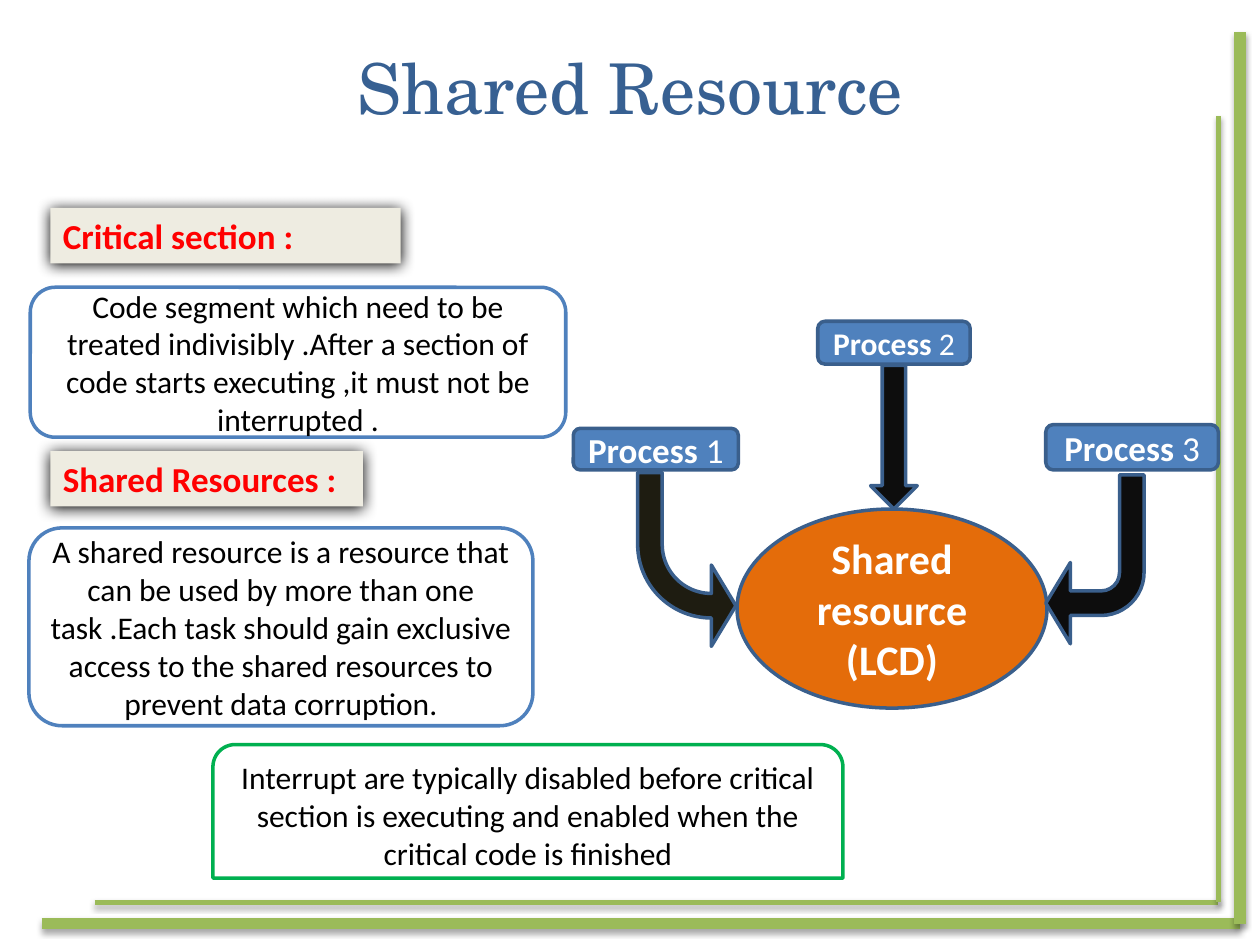
import pptx
import pptx.util
import pptx.dml.color
import pptx.enum.lang
import pptx.enum.shapes
import pptx.enum.text
import pptx.oxml
import pptx.oxml.ns

Inches = pptx.util.Inches
Pt = pptx.util.Pt
RGBColor = pptx.dml.color.RGBColor
MSO_LANGUAGE_ID = pptx.enum.lang.MSO_LANGUAGE_ID
MSO_SHAPE = pptx.enum.shapes.MSO_SHAPE
MSO_CONNECTOR = pptx.enum.shapes.MSO_CONNECTOR
MSO_ANCHOR = pptx.enum.text.MSO_ANCHOR
MSO_AUTO_SIZE = pptx.enum.text.MSO_AUTO_SIZE
PP_ALIGN = pptx.enum.text.PP_ALIGN

WHITE = RGBColor(0xFF, 0xFF, 0xFF)
BLACK = RGBColor(0x00, 0x00, 0x00)
RED = RGBColor(0xFF, 0x00, 0x00)
GREEN = RGBColor(0x00, 0xB0, 0x50)
LIME = RGBColor(0x9B, 0xBB, 0x59)
BLUE = RGBColor(0x4F, 0x81, 0xBD)
EDGE_BLUE = RGBColor(0x3A, 0x5F, 0x8C)
TITLE_BLUE = RGBColor(0x37, 0x60, 0x92)
CREAM = RGBColor(0xEE, 0xEC, 0xE1)
ORANGE = RGBColor(0xE4, 0x6C, 0x0A)
NEAR_BLACK = RGBColor(0x0D, 0x0D, 0x0D)
DARK_OLIVE = RGBColor(0x1E, 0x1C, 0x11)
BODY_FONT = "Calibri"
TITLE_FONT = "TeX Gyre Schola"


def add_shadow(sp, alpha, blur, dist):
    sp._element.spPr.append(pptx.oxml.parse_xml(
        f'<a:effectLst {pptx.oxml.ns.nsdecls("a")}>'
        f'<a:outerShdw blurRad="{Pt(blur)}" dist="{Pt(dist)}" dir="5400000" rotWithShape="0">'
        f'<a:srgbClr val="000000"><a:alpha val="{alpha * 1000}"/></a:srgbClr>'
        '</a:outerShdw></a:effectLst>'))


def add_run(p, text, size, color, bold=False, font=BODY_FONT):
    r = p.add_run()
    r.text = text
    r.font.name = font
    r.font.size = Pt(size)
    r.font.bold = bold
    r.font.color.rgb = color
    r.font.language_id = MSO_LANGUAGE_ID.ENGLISH_US


def add_box(s, kind, box, fill, line=None):
    sp = s.shapes.add_shape(kind, *[Inches(v) for v in box])
    sp.fill.solid()
    sp.fill.fore_color.rgb = fill
    if line is None:
        sp.line.fill.background()
    else:
        sp.line.color.rgb = line
        sp.line.width = Pt(2)
    return sp


def add_text_box(s, kind, box, fill, line, paragraphs, size, color, align=PP_ALIGN.CENTER):
    sp = add_box(s, kind, box, fill, line)
    sp.shadow.inherit = False
    tf = sp.text_frame
    tf.word_wrap = True
    tf.vertical_anchor = MSO_ANCHOR.MIDDLE
    for i, runs in enumerate(paragraphs):
        p = tf.paragraphs[0] if i == 0 else tf.add_paragraph()
        p.alignment = align
        for text, bold in runs:
            add_run(p, text, size, color, bold)
    return sp


def add_frame(s, left, top, right, bottom):
    gap = 0.17
    inner_right, inner_bottom = right - gap, bottom - gap
    for x1, y1, x2, y2, width in (
        (left + 0.42, inner_bottom, inner_right, inner_bottom, 3),
        (left, bottom, right, bottom, 6.75),
        (right, bottom, right, top, 6.75),
        (inner_right, inner_bottom, inner_right, top + 0.67, 3),
    ):
        c = s.shapes.add_connector(MSO_CONNECTOR.STRAIGHT,
                                   Inches(x1), Inches(y1), Inches(x2), Inches(y2))
        c.line.color.rgb = LIME
        c.line.width = Pt(width)
        add_shadow(c, 35, 3.1, 1.8)


def add_title(s, left, top, width, height):
    title = s.shapes.title
    title.left, title.top = Inches(left), Inches(top)
    title.width, title.height = Inches(width), Inches(height)
    tf = title.text_frame
    tf.auto_size = MSO_AUTO_SIZE.NONE
    tf.vertical_anchor = MSO_ANCHOR.TOP
    p = tf.paragraphs[0]
    p.alignment = PP_ALIGN.CENTER
    add_run(p, "Shared Resource", 40, TITLE_BLUE, font=TITLE_FONT)


def add_heading(s, left, top, width, text):
    sp = add_text_box(s, MSO_SHAPE.RECTANGLE, (left, top, width, 0.44), CREAM, None,
                      [[(text, True)]], 20, RED, PP_ALIGN.LEFT)
    sp.shadow.inherit = True
    add_shadow(sp, 100, 8.5, 1)


def add_note(s, box, text, kind=MSO_SHAPE.ROUNDED_RECTANGLE, line=BLUE, inset=0.1):
    sp = add_text_box(s, kind, box, WHITE, line, [[(text, False)]], 18, BLACK)
    sp.text_frame.margin_left = sp.text_frame.margin_right = Inches(inset)


def add_arrow(s, kind, box, fill, adjustments=()):
    sp = add_box(s, kind, box, fill, EDGE_BLUE)
    sp.shadow.inherit = False
    for i, value in enumerate(adjustments):
        sp.adjustments[i] = value
    return sp


def add_diagram(s, left, top):
    add_text_box(s, MSO_SHAPE.OVAL, (left + 1.3, top + 1.49, 2.46, 1.58), ORANGE, EDGE_BLUE,
                 [[("Shared resource", True)], [("(LCD)", True)]], 24, WHITE)
    for number, dx, dy, width, height, size in (
        (2, 1.94, 0, 1.21, 0.34, 18),
        (1, 0, 0.85, 1.31, 0.33, 20),
        (3, 3.75, 0.82, 1.37, 0.36, 20),
    ):
        add_text_box(s, MSO_SHAPE.ROUNDED_RECTANGLE, (left + dx, top + dy, width, height),
                     BLUE, EDGE_BLUE, [[("Process", True), (f" {number}", False)]], size, WHITE)
    add_arrow(s, MSO_SHAPE.DOWN_ARROW, (left + 2.36, top + 0.35, 0.37, 1.14), NEAR_BLACK)
    from_left = add_arrow(s, MSO_SHAPE.BENT_ARROW, (left + 0.51, top + 1.2, 0.78, 1.38),
                          DARK_OLIVE, (0.25, 0.414, 0.25, 0.75))
    from_right = add_arrow(s, MSO_SHAPE.BENT_ARROW, (left + 3.75, top + 1.22, 0.78, 1.34),
                           NEAR_BLACK, (0.25, 0.414, 0.25, 0.438))
    from_left.rotation = from_right.rotation = 180
    from_left._element.spPr.xfrm.set("flipH", "1")


def main():
    prs = pptx.Presentation()
    prs.slide_width, prs.slide_height = Inches(10), Inches(7.5)
    s = prs.slides.add_slide(prs.slide_layouts[5])
    add_frame(s, 0.33, 0.25, 9.84, 7.33)
    add_title(s, 0.5, 0.3, 9, 1.25)
    add_note(s, (0.24, 2.28, 4.25, 1.19),
             "Code segment which need to be treated indivisibly .After a section of code "
             "starts executing ,it must not be interrupted .")
    add_heading(s, 0.4, 1.65, 2.78, "Critical section :")
    add_note(s, (0.23, 4.19, 4, 1.57),
             "A shared resource is a resource that can be used by more than one task .Each task "
             "should gain exclusive access to the shared resources to prevent data corruption.",
             inset=0.05)
    add_heading(s, 0.4, 3.58, 2.48, "Shared Resources :")
    add_note(s, (1.69, 5.91, 5, 1.06),
             "Interrupt are typically disabled before critical section is executing and "
             "enabled when the critical code is finished",
             MSO_SHAPE.ROUND_2_SAME_RECTANGLE, GREEN)
    add_diagram(s, 4.55, 2.55)
    prs.save("out.pptx")


if __name__ == "__main__":
    main()
